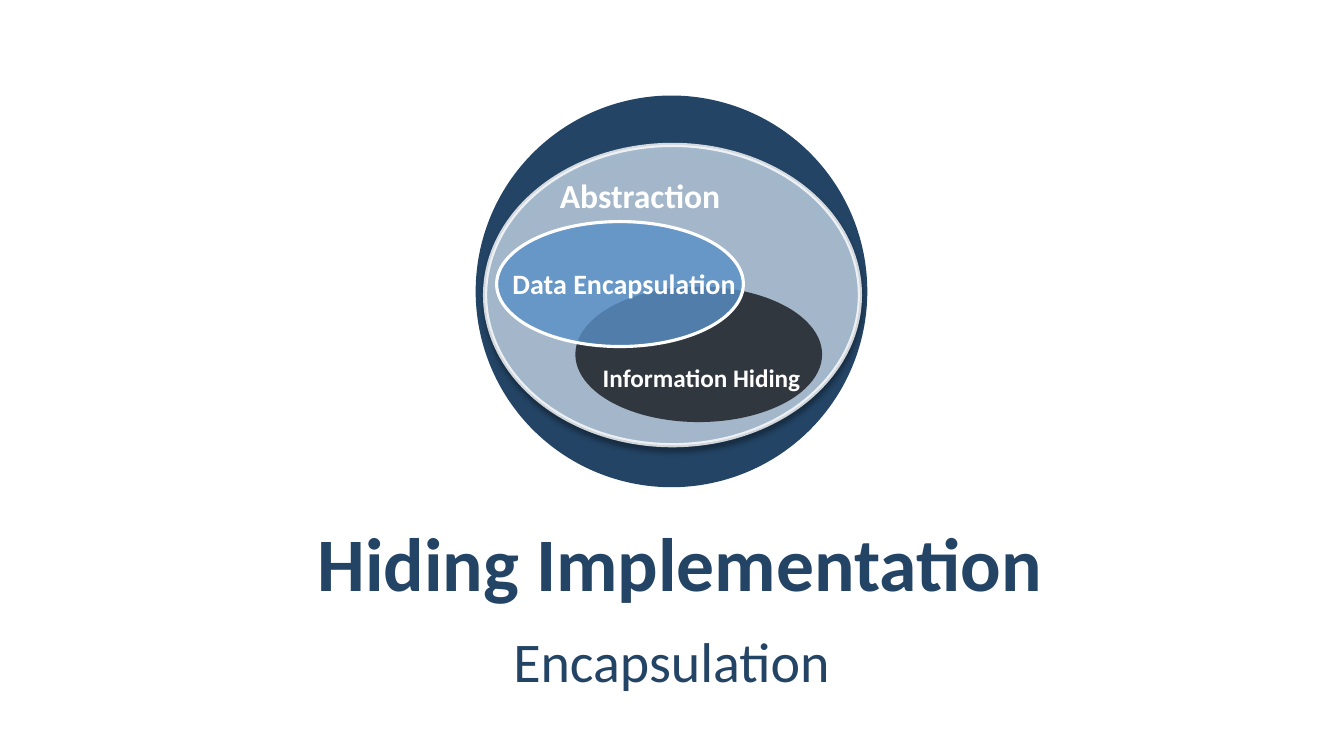
import pptx
import pptx.util
import pptx.dml.color
import pptx.enum.shapes
import pptx.enum.text
import pptx.oxml.ns
import lxml.etree

PX = 9525  # EMU in one px, 96 px to the inch
THEME = {
    "font": "Calibri",
    "navy": "234465", "white": "FFFFFF", "pale": "C7DAEC",
    "dark": "15171C", "blue": "588FC5", "black": "000000",
    "title": 54, "sub": 40, "large": 24, "mid": 20, "small": 18,
}
ALIGN = pptx.enum.text.PP_ALIGN
ANCHOR = pptx.enum.text.MSO_ANCHOR
FIT = pptx.enum.text.MSO_AUTO_SIZE
OVAL = pptx.enum.shapes.MSO_SHAPE.OVAL
RGB = pptx.dml.color.RGBColor.from_string


def add_oval(home, box, fill, alpha=100, width=0, edge=100):
    oval = home.add_shape(OVAL, *[n * PX for n in box])
    oval.shadow.inherit = False
    oval.fill.solid()
    oval.fill.fore_color.rgb = RGB(THEME[fill])
    if width:
        oval.line.color.rgb = RGB(THEME["white"])
        oval.line.width = pptx.util.Pt(width)
    else:
        oval.line.fill.background()
    # The first colour is the fill, the second the line
    tags = oval.element.spPr.iter(pptx.oxml.ns.qn("a:srgbClr"))
    for tag, part in zip(tags, (alpha, edge)):
        if part < 100:
            lxml.etree.SubElement(tag, pptx.oxml.ns.qn("a:alpha"), val=str(part * 1000))
    return oval


def add_label(home, box, text, size, color, inset, bold=True):
    label = home.add_textbox(*[n * PX for n in box])
    frame = label.text_frame
    frame.word_wrap = True
    frame.margin_left = frame.margin_right = inset[0] * PX
    frame.margin_top = frame.margin_bottom = inset[1] * PX
    run = frame.paragraphs[0].add_run()
    run.text = text
    run.font.name = THEME["font"]
    run.font.size = pptx.util.Pt(THEME[size])
    run.font.bold = bold
    run.font.color.rgb = RGB(THEME[color])
    return frame


deck = pptx.Presentation()
deck.slide_width, deck.slide_height = 1280 * PX, 720 * PX
slide = deck.slides.add_slide(deck.slide_layouts[6])

# Backing disc
add_oval(slide.shapes, (453, 91, 373, 373), "navy")

# Title and subtitle
head = add_label(slide.shapes, (64, 494, 1151, 81), " Hiding Implementation",
                 "title", "navy", (12, 4))
sub = add_label(slide.shapes, (64, 587, 1151, 81), "Encapsulation",
                "sub", "navy", (12, 4), False)
for frame in (head, sub):
    frame.vertical_anchor = ANCHOR.MIDDLE
    frame.paragraphs[0].alignment = ALIGN.CENTER
line = sub.paragraphs[0]
line.line_spacing = 1.05
line.space_before = line.space_after = pptx.util.Pt(6)

# Nested ovals
venn = slide.shapes.add_group_shape().shapes
outer = add_oval(venn, (462, 138, 357, 286), "pale", 80, 3, 80)
add_oval(venn, (548, 273, 235, 129), "dark", 80)
add_oval(venn, (473, 211, 235, 119), "blue", 80, 2.25)

# Soft shadow below the outer oval
effect = outer.element.spPr.find(pptx.oxml.ns.qn("a:effectLst"))
shade = lxml.etree.SubElement(
    effect, pptx.oxml.ns.qn("a:outerShdw"), blurRad=str(pptx.util.Pt(4)),
    dist=str(pptx.util.Pt(3)), dir=str(90 * 60000), rotWithShape="0")
tone = lxml.etree.SubElement(shade, pptx.oxml.ns.qn("a:srgbClr"), val=THEME["black"])
lxml.etree.SubElement(tone, pptx.oxml.ns.qn("a:alpha"), val="40000")

# Oval labels
for box, text, size in (
    ((511, 151, 237, 65), " Abstraction", "large"),
    ((559, 330, 299, 55), "Information Hiding", "small"),
    ((473, 239, 320, 59), "Data Encapsulation", "mid"),
):
    frame = add_label(venn, box, text, size, "white", (15, 12))
    frame.auto_size = FIT.SHAPE_TO_FIT_TEXT
    frame.paragraphs[0].line_spacing = 1.1

deck.save("out.pptx")
